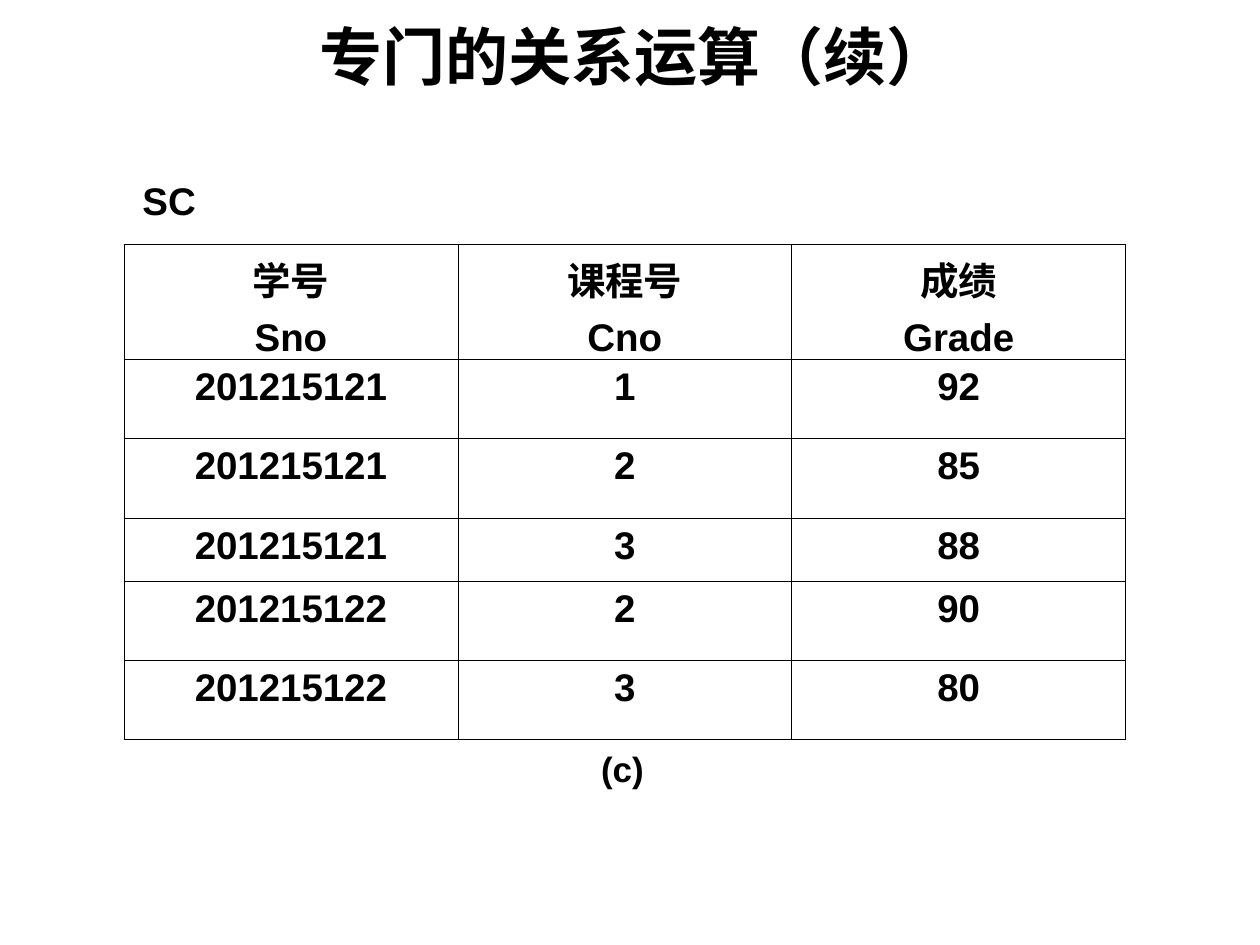
from dataclasses import dataclass

from lxml.etree import SubElement
from pptx import Presentation
from pptx.dml.color import RGBColor
from pptx.enum.text import MSO_ANCHOR as Anchor, MSO_AUTO_SIZE as AutoSize, PP_ALIGN as Align
from pptx.oxml.ns import qn
from pptx.slide import Slide
from pptx.table import _Cell as Cell
from pptx.text.text import TextFrame
from pptx.util import Cm, Pt

BLACK = "000000"
COL_WIDTH = 6.73
ROW_HEIGHTS = [2.31, 1.6, 1.6, 1.27, 1.6, 1.6]
ROWS = [
    ("学号\nSno", "课程号\nCno", "成绩\nGrade"),
    ("201215121", "1", "92"),
    ("201215121", "2", "85"),
    ("201215121", "3", "88"),
    ("201215122", "2", "90"),
    ("201215122", "3", "80"),
]


@dataclass
class Label:
    text: str
    left: float
    top: float
    width: float
    height: float
    size: int
    anchor: Anchor
    wrap: bool
    auto_size: AutoSize


LABELS = [
    Label("(c)", 11.38, 14.94, 2.34, 1.96, 20, Anchor.TOP, True, AutoSize.SHAPE_TO_FIT_TEXT),
    Label("SC", 1.91, 3.33, 3, 1.4, 22, Anchor.MIDDLE, False, AutoSize.NONE),
]


def color(value: str) -> RGBColor:
    return RGBColor.from_string(value)


def write(tf: TextFrame, text: str, size: int) -> None:
    tf.text = text
    for i, p in enumerate(tf.paragraphs):
        p.alignment = Align.CENTER
        if i:
            p.space_before = Pt(5.5)
        for r in p.runs:
            r.font.name = "Arial"
            r.font.size = Pt(size)
            r.font.bold = True
            r.font.color.rgb = color(BLACK)


def add_title(s: Slide, text: str) -> None:
    sp = s.shapes.title
    sp.left, sp.top, sp.width, sp.height = Cm(2.54), Cm(0.33), Cm(20.52), Cm(1.57)
    tf = sp.text_frame
    tf.margin_left = tf.margin_right = tf.margin_top = tf.margin_bottom = 0
    tf.vertical_anchor = Anchor.MIDDLE
    tf.auto_size = AutoSize.NONE
    write(tf, text, 36)


def add_label(s: Slide, label: Label) -> None:
    sp = s.shapes.add_textbox(Cm(label.left), Cm(label.top), Cm(label.width), Cm(label.height))
    tf = sp.text_frame
    tf.word_wrap = label.wrap
    tf.auto_size = label.auto_size
    tf.vertical_anchor = label.anchor
    write(tf, label.text, label.size)


def add_borders(cell: Cell) -> None:
    tc_pr = cell._tc.get_or_add_tcPr()
    for side in ("a:lnL", "a:lnR", "a:lnT", "a:lnB"):
        ln = SubElement(tc_pr, qn(side), w=str(Pt(0.45)))
        fill = SubElement(ln, qn("a:solidFill"))
        SubElement(fill, qn("a:srgbClr"), val=BLACK)


def add_grades(s: Slide) -> None:
    columns = len(ROWS[0])
    table = s.shapes.add_table(
        len(ROWS), columns, Cm(2.5), Cm(4.93), Cm(COL_WIDTH * columns), Cm(sum(ROW_HEIGHTS))
    ).table
    table.first_row = table.horz_banding = False
    for column in table.columns:
        column.width = Cm(COL_WIDTH)
    for row, height, texts in zip(table.rows, ROW_HEIGHTS, ROWS):
        row.height = Cm(height)
        for cell, text in zip(row.cells, texts):
            write(cell.text_frame, text, 22)
            add_borders(cell)
            cell.fill.background()


def main() -> None:
    prs = Presentation()
    prs.slide_width, prs.slide_height = Cm(25.4), Cm(19.05)
    s = prs.slides.add_slide(prs.slide_layouts[5])
    add_title(s, "专门的关系运算（续）")
    for label in LABELS:
        add_label(s, label)
    add_grades(s)
    prs.save("out.pptx")


if __name__ == "__main__":
    main()
